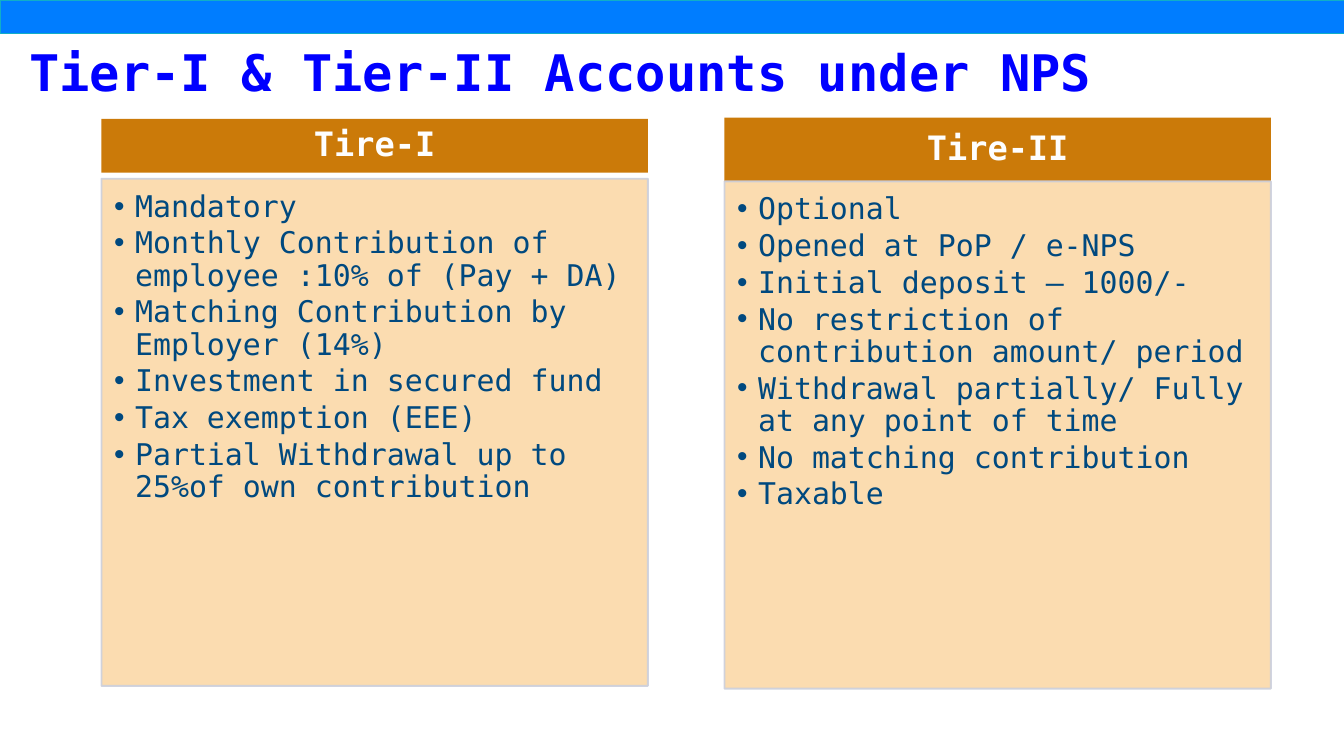
from lxml.etree import SubElement
from pptx import Presentation
from pptx.dml.color import RGBColor
from pptx.enum.shapes import MSO_SHAPE
from pptx.enum.text import MSO_ANCHOR, MSO_AUTO_SIZE, PP_ALIGN
from pptx.oxml.ns import qn
from pptx.util import Pt

FONT = "DejaVu Sans Mono"
WIDE, HIGH = 1440, 792


def color(code):
    return RGBColor.from_string(code)


class Deck:
    """Holds the style and the current slide."""

    def __init__(self):
        self.prs = Presentation()
        self.prs.slide_width, self.prs.slide_height = Pt(WIDE), Pt(HIGH)
        # Comparison layout: a title, then two pairs of heading and list
        self.slide = self.prs.slides.add_slide(self.prs.slide_layouts[4])

    def place(self, shape, box):
        shape.left, shape.top, shape.width, shape.height = map(Pt, box)

    def paint(self, shape, fill, line=None, width=0, alpha=None):
        shape.fill.solid()
        shape.fill.fore_color.rgb = color(fill)
        if line:
            shape.line.color.rgb = color(line)
            shape.line.width = Pt(width)
        if alpha:
            for tone in shape._element.spPr.iter(qn("a:srgbClr")):
                SubElement(tone, qn("a:alpha"), val=str(alpha * 1000))

    def label(self, shape, text, size, ink, pads, bold=False,
              align=PP_ALIGN.LEFT, anchor=MSO_ANCHOR.TOP, after=0):
        frame = shape.text_frame
        frame.text = text
        frame.word_wrap = True
        frame.auto_size = MSO_AUTO_SIZE.NONE
        frame.vertical_anchor = anchor
        (frame.margin_left, frame.margin_top,
         frame.margin_right, frame.margin_bottom) = map(Pt, pads)
        for para in frame.paragraphs:
            para.alignment, para.line_spacing = align, 0.9
            para.space_before, para.space_after = Pt(0), Pt(after)
            for run in para.runs:
                font = run.font
                font.name, font.size, font.bold = FONT, Pt(size), bold
                font.color.rgb = color(ink)

    def bar(self, box, fill, line):
        shape = self.slide.shapes.add_shape(MSO_SHAPE.RECTANGLE, *map(Pt, box))
        shape.shadow.inherit = False
        self.paint(shape, fill, line, 0.5)

    def title(self, box, text):
        shape = self.slide.shapes.title
        self.place(shape, box)
        self.label(shape, text, 54, "0000FF", (7.2, 3.6, 7.2, 3.6), bold=True)

    def head(self, slot, box, text):
        shape = self.slide.placeholders[slot]
        self.place(shape, box)
        self.paint(shape, "CB7A09")
        self.label(shape, text, 36, "FEFEFE", (20, 11.5, 20, 11.5), bold=True,
                   align=PP_ALIGN.CENTER, anchor=MSO_ANCHOR.MIDDLE)

    def points(self, slot, box, items):
        shape = self.slide.placeholders[slot]
        self.place(shape, box)
        self.paint(shape, "FBD9A8", "CCD0DD", 2, alpha=90)
        self.label(shape, "\n".join(items), 32, "00497F",
                   (13.5, 13.5, 18, 20), after=4.8)
        for para in shape.text_frame.paragraphs:
            props = para._p.get_or_add_pPr()
            props.set("marL", str(Pt(22.5)))
            props.set("indent", str(Pt(-22.5)))
            SubElement(props, qn("a:buChar"), char="•")


# Column data: left, heading top and height, list top, heading, items
COLS = [
    (108.7, 127.4, 57.6, 191.5, "Tire-I", [
        "Mandatory",
        "Monthly Contribution of employee :10% of (Pay + DA)",
        "Matching Contribution by Employer (14%)",
        "Investment in secured fund",
        "Tax exemption (EEE)",
        "Partial Withdrawal up to 25%of own contribution",
    ]),
    (776.2, 126, 69, 194.4, "Tire-II", [
        "Optional",
        "Opened at PoP / e-NPS",
        "Initial deposit – 1000/-",
        "No restriction of contribution amount/ period",
        "Withdrawal partially/ Fully at any point of time",
        "No matching contribution",
        "Taxable",
    ]),
]
COL_W, LIST_H = 585.4, 543.6


def main():
    deck = Deck()

    # Title and top bar
    deck.title((24, 48, 1398, 60), "Tier-I & Tier-II Accounts under NPS")
    deck.bar((0, 0, WIDE, 36), "007DFF", "11AEC7")

    # Two columns
    for n, (left, top, tall, low, name, items) in enumerate(COLS):
        deck.head(2 * n + 1, (left, top, COL_W, tall), name)
        deck.points(2 * n + 2, (left, low, COL_W, LIST_H), items)

    deck.prs.save("out.pptx")


if __name__ == "__main__":
    main()
